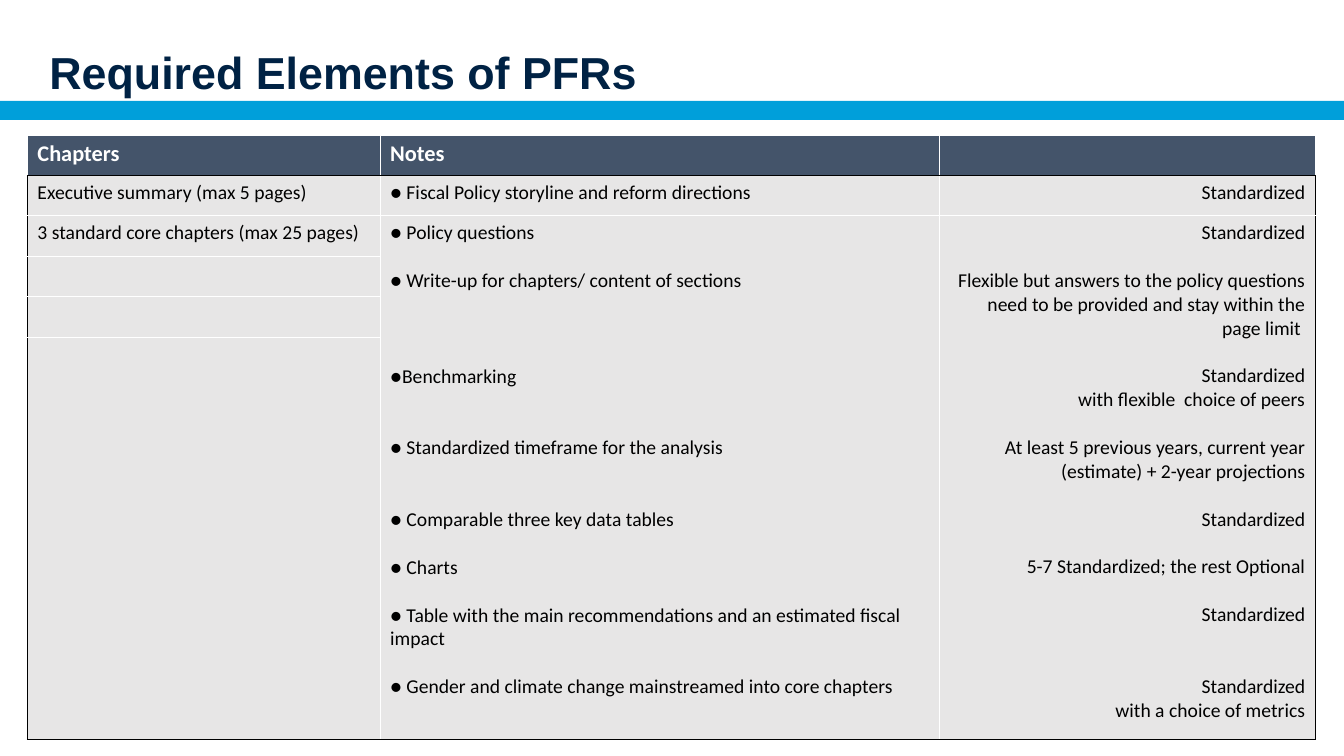
from lxml import etree
from pptx import Presentation
from pptx.dml.color import RGBColor
from pptx.enum.shapes import MSO_SHAPE
from pptx.enum.text import MSO_ANCHOR, PP_ALIGN
from pptx.oxml.ns import qn
from pptx.util import Cm, Pt

RECTANGLE = MSO_SHAPE.RECTANGLE
MIDDLE = MSO_ANCHOR.MIDDLE
LEFT, RIGHT = PP_ALIGN.LEFT, PP_ALIGN.RIGHT

TITLE = "Required Elements of PFRs"
HEADER = ["Chapters", "Notes", ""]
SUMMARY = ["Executive summary (max 5 pages)",
           "● Fiscal Policy storyline and reform directions", "Standardized"]
CORE_CHAPTERS = "3 standard core chapters (max 25 pages)"
# Note, lines it fills, rule paragraphs, lines they fill
TOPICS = [
    ("● Policy questions", 1, ["Standardized"], 1),
    ("● Write-up for chapters/ content of sections", 1,
     ["Flexible but answers to the policy questions need to be provided "
      "and stay within the page limit "], 3),
    ("●Benchmarking", 1, ["Standardized", "with flexible  choice of peers"], 2),
    ("● Standardized timeframe for the analysis", 1,
     ["At least 5 previous years, current year (estimate) + 2-year projections"], 2),
    ("● Comparable three key data tables", 1, ["Standardized"], 1),
    ("● Charts", 1, ["5-7 Standardized; the rest Optional"], 1),
    ("● Table with the main recommendations and an estimated fiscal impact", 2,
     ["Standardized"], 1),
    ("● Gender and climate change mainstreamed into core chapters", 1,
     ["Standardized", "with a choice of metrics"], 2),
]

COLORS = {"title": "002244", "band": "009FDA", "header": "44546A",
          "body": "E7E6E6", "white": "FFFFFF", "black": "000000"}
COLUMN_WIDTHS = [8.89, 14.1, 9.47]
ROW_HEIGHTS = [1.02] * 5 + [10.13]
MERGE_ROW = 2
LAST_ROW, LAST_COLUMN = len(ROW_HEIGHTS) - 1, len(COLUMN_WIDTHS) - 1
LINE_POINTS = 17.1


def rgb(name):
    return RGBColor.from_string(COLORS[name])


def set_font(font, name, size, color, bold):
    font.name, font.size, font.bold = name, Pt(size), bold
    font.color.rgb = rgb(color)


def write_cell(cell, entries, align, is_header):
    """Write (text, blank lines before) entries as paragraphs."""
    frame = cell.text_frame
    for index, (text, gap) in enumerate(entries):
        para = frame.add_paragraph() if index else frame.paragraphs[0]
        para.text = text
        para.alignment = align
        if gap:
            para.space_before = Pt(gap * LINE_POINTS)
        set_font(para.font, "Calibri", 16 if is_header else 14,
                 "white" if is_header else "black", is_header)


def style_cell(cell, row, column):
    """Fill the cell; draw black lines around the body and white ones elsewhere."""
    cell.fill.solid()
    cell.fill.fore_color.rgb = rgb("body" if row else "header")
    black_sides = {
        "L": row > 0 and column == 0,
        "R": row > 0 and column == LAST_COLUMN,
        "T": row == 1,
        "B": row in (0, LAST_ROW) or (row == MERGE_ROW and column > 0),
    }
    properties = cell._tc.get_or_add_tcPr()
    for place, (side, is_black) in enumerate(black_sides.items()):
        line = etree.Element(qn(f"a:ln{side}"), w=str(Pt(1)))
        fill = etree.SubElement(line, qn("a:solidFill"))
        etree.SubElement(fill, qn("a:srgbClr"),
                         val=COLORS["black" if is_black else "white"])
        properties.insert(place, line)


def topic_entries():
    """Space notes and rules so that each topic starts level, one line apart."""
    notes, rules = [], []
    note_gap = rule_gap = 0
    for note, note_lines, rule_texts, rule_lines in TOPICS:
        notes.append((note, note_gap))
        rules += [(text, 0 if index else rule_gap)
                  for index, text in enumerate(rule_texts)]
        height = max(note_lines, rule_lines) + 1
        note_gap, rule_gap = height - note_lines, height - rule_lines
    return notes, rules


def add_title(slide):
    title = slide.shapes.title
    title.left, title.top, title.width, title.height = Cm(0.99), Cm(0.84), Cm(31.72), Cm(2.11)
    title.text_frame.vertical_anchor = MIDDLE
    para = title.text_frame.paragraphs[0]
    para.text = TITLE
    para.alignment = LEFT
    para.line_spacing = 0.9
    set_font(para.font, "Arial", 32, "title", True)


def add_band(slide, width):
    band = slide.shapes.add_shape(RECTANGLE, 0, Cm(2.54), width, Cm(0.48))
    band.shadow.inherit = False
    band.fill.solid()
    band.fill.fore_color.rgb = rgb("band")
    band.line.fill.background()


def add_elements_table(slide):
    frame = slide.shapes.add_table(
        len(ROW_HEIGHTS), len(COLUMN_WIDTHS), Cm(0.69), Cm(3.4),
        Cm(sum(COLUMN_WIDTHS)), Cm(sum(ROW_HEIGHTS)))
    table = frame.table
    table.horz_banding = False
    for column, width in zip(table.columns, COLUMN_WIDTHS):
        column.width = Cm(width)
    for row, height in zip(table.rows, ROW_HEIGHTS):
        row.height = Cm(height)
    for column in range(1, LAST_COLUMN + 1):
        table.cell(MERGE_ROW, column).merge(table.cell(LAST_ROW, column))

    rows = [[[(text, 0)] for text in texts] for texts in (HEADER, SUMMARY)]
    rows.append([[(CORE_CHAPTERS, 0)], *topic_entries()])
    rows += [[[("", 0)]] * len(COLUMN_WIDTHS)] * (LAST_ROW - MERGE_ROW)
    for row, contents in enumerate(rows):
        for column, entries in enumerate(contents):
            cell = table.cell(row, column)
            style_cell(cell, row, column)
            if not cell.is_spanned:
                align = RIGHT if row and column == LAST_COLUMN else LEFT
                write_cell(cell, entries, align, row == 0)


def main():
    deck = Presentation()
    deck.slide_width, deck.slide_height = Cm(33.87), Cm(19.05)
    slide = deck.slides.add_slide(deck.slide_layouts[5])
    add_band(slide, deck.slide_width)
    add_title(slide)
    add_elements_table(slide)
    deck.save("out.pptx")


if __name__ == "__main__":
    main()
